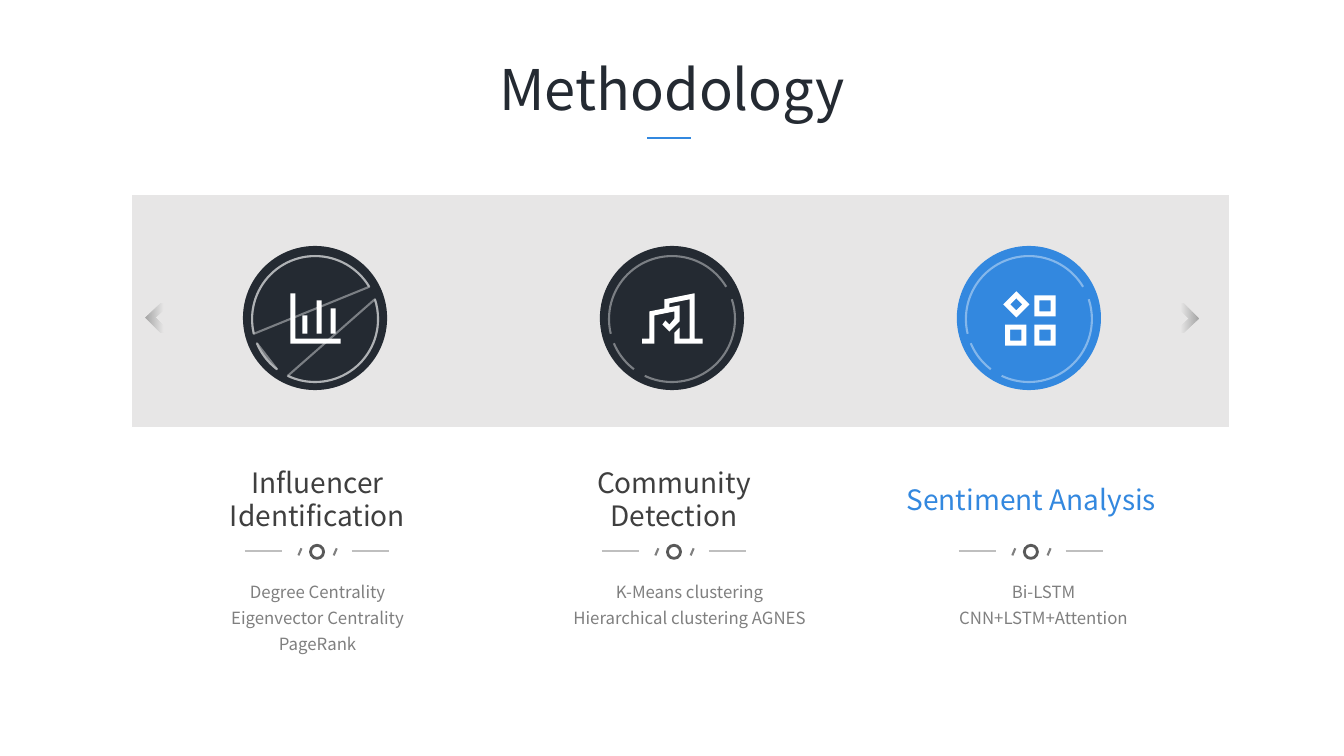
from lxml import etree
from pptx import Presentation
from pptx.dml.color import RGBColor
from pptx.enum.shapes import MSO_CONNECTOR, MSO_SHAPE
from pptx.enum.text import MSO_ANCHOR, MSO_AUTO_SIZE, PP_ALIGN
from pptx.oxml.ns import qn
from pptx.util import Inches, Pt

RECT, ROUND = MSO_SHAPE.RECTANGLE, MSO_SHAPE.ROUNDED_RECTANGLE
OVAL, ARC, CHORD = MSO_SHAPE.OVAL, MSO_SHAPE.ARC, MSO_SHAPE.CHORD
STRAIGHT = MSO_CONNECTOR.STRAIGHT
TOP, MIDDLE = MSO_ANCHOR.TOP, MSO_ANCHOR.MIDDLE
CENTER = PP_ALIGN.CENTER
FIXED = MSO_AUTO_SIZE.NONE

FONT = "Noto Sans CJK SC"
COLORS = {
    "white": "FFFFFF", "band": "E7E6E6", "dark": "242A32", "blue": "3388DF",
    "head": "3F3F3F", "body": "7F7F7F", "ring": "595959", "tick": "7F7F7F",
    "rule": "BFBFBF", "arrow": "A5A5A5",
}
STEP = 3.54
ARCS = [(99.874, 197.548), (76.307, 94.446), (205.015, 69.383)]
TOPICS = [
    ("Influencer Identification", "head", 1.76, 2.78, 1.59, 0.95,
     ["Degree Centrality", "Eigenvector Centrality", "PageRank"]),
    ("Community Detection", "head", 5.41, 2.55, 5.28, 0.63,
     ["K-Means clustering", "Hierarchical clustering AGNES"]),
    ("Sentiment Analysis", "blue", 8.84, 2.78, 8.79, 0.63,
     ["Bi-LSTM", "CNN+LSTM+Attention"]),
]
TOWER = [
    (6.69, 3.16), (6.69, 3.09), (6.49, 3.13), (6.49, 3.41), (6.37, 3.41),
    (6.37, 3.36), (6.44, 3.36), (6.44, 3.09), (6.59, 3.06), (6.59, 2.97),
    (6.89, 2.91), (6.89, 3.36), (6.97, 3.36), (6.97, 3.41), (6.69, 3.41),
    (6.69, 3.3), (6.74, 3.25), (6.74, 3.36), (6.84, 3.36), (6.84, 2.97),
    (6.64, 3.01), (6.64, 3.05), (6.74, 3.03), (6.74, 3.19), (6.64, 3.29),
    (6.57, 3.22), (6.6, 3.18), (6.64, 3.22),
]


def rgb(name):
    return RGBColor.from_string(COLORS[name])


def fade(color, share):
    etree.SubElement(color, qn("a:alpha")).set("val", str(share * 1000))


def paint(shape, fill=None, line=None, width=1):
    shape.shadow.inherit = False
    if fill:
        shape.fill.solid()
        shape.fill.fore_color.rgb = rgb(fill)
    else:
        shape.fill.background()
    if line:
        shape.line.color.rgb = rgb(line)
        shape.line.width = Pt(width)
    else:
        shape.line.fill.background()


def add_form(shapes, kind, box, **style):
    shape = shapes.add_shape(kind, *map(Inches, box))
    paint(shape, **style)
    return shape


def add_line(shapes, start, end, color, width):
    line = shapes.add_connector(STRAIGHT, *map(Inches, start + end))
    line.line.color.rgb = rgb(color)
    line.line.width = Pt(width)
    etree.SubElement(line._element.spPr, qn("a:effectLst"))


def write(shape, lines, size, color, anchor=TOP, space=None):
    frame = shape.text_frame
    frame.word_wrap = True
    frame.auto_size = FIXED
    frame.vertical_anchor = anchor
    frame.text = "\n".join(lines)
    for para in frame.paragraphs:
        para.alignment = CENTER
        para.line_spacing = space
        for run in para.runs:
            run.font.size = Pt(size)
            run.font.name = FONT
            run.font.color.rgb = rgb(color)


def trace(shapes, loops):
    pen = None
    for loop in loops:
        first, *rest = [(Inches(x), Inches(y)) for x, y in loop]
        if pen:
            pen.move_to(*first)
        else:
            pen = shapes.build_freeform(*first)
        pen.add_line_segments(rest, close=True)
    shape = pen.convert_to_shape()
    paint(shape, fill="white")
    return shape


def block(left, top, right, low):
    return [(left, top), (right, top), (right, low), (left, low)]


def diamond(x, y, reach):
    return [(x + reach, y), (x, y + reach), (x - reach, y), (x, y - reach)]


def add_badge(slide, left, fill, closed):
    shapes = slide.shapes.add_group_shape().shapes
    add_form(shapes, OVAL, (left, 2.44, 1.43, 1.43), fill=fill)
    for kind in [CHORD, ARC] if closed else [ARC]:
        for start, end in ARCS:
            arc = add_form(shapes, kind, (left + 0.09, 2.54, 1.25, 1.25),
                           line="white", width=1.5)
            arc.adjustments[0] = start
            arc.adjustments[1] = end
            fade(arc._element.xpath("./p:spPr/a:ln//a:srgbClr")[0], 40)


def add_bars(shapes):
    frame = [(2.88, 2.91), (2.93, 2.91), (2.93, 3.36), (3.38, 3.36),
             (3.38, 3.41), (2.88, 3.41)]
    tops = [3.13, 2.98, 3.06]
    bars = [block(3 + 0.14 * i, top, 3.05 + 0.14 * i, 3.31)
            for i, top in enumerate(tops)]
    trace(shapes, [frame] + bars)


def add_tiles(shapes):
    loops = [diamond(10.08, 3.02, 0.13), diamond(10.08, 3.02, 0.06)]
    for x, y in [(10.26, 2.93), (9.97, 3.22), (10.26, 3.22)]:
        loops.append(block(x, y, x + 0.21, y + 0.21))
        loops.append(block(x + 0.05, y + 0.05, x + 0.16, y + 0.16))
    trace(shapes, loops)


def add_arrow(shapes, mid, angle):
    left, top = mid - 0.15, 3.03
    spots = [(0.15, 0), (0.29, 0.15), (0.29, 0.25), (0.15, 0.1),
             (0, 0.25), (0, 0.15)]
    arrow = trace(shapes, [[(left + x, top + y) for x, y in spots]])
    arrow.rotation = angle
    arrow.fill.gradient()
    arrow.fill.gradient_angle = 270
    for stop, place in zip(arrow.fill.gradient_stops, (0, 0.71)):
        stop.position = place
        stop.color.rgb = rgb("arrow")
    fade(arrow._element.xpath(".//a:gs/a:srgbClr")[1], 0)


def add_rule(slide, mid):
    shapes = slide.shapes.add_group_shape().shapes
    add_form(shapes, OVAL, (mid - 0.07, 5.41, 0.13, 0.13),
             line="ring", width=2)
    for x in (mid - 0.16, mid + 0.19):
        add_line(shapes, (x, 5.44), (x - 0.03, 5.51), "tick", 1.5)
    for x in (mid - 0.72, mid + 0.34):
        add_line(shapes, (x, 5.47), (x + 0.37, 5.47), "rule", 1.5)


def add_topic(slide, name, color, left, width, edge, height, lines):
    head = add_form(slide.shapes, ROUND, (left, 4.69, width, 0.52))
    write(head, [name], 20, color, MIDDLE)
    body = slide.shapes.add_textbox(
        *map(Inches, (edge, 5.66, 3.12, height)))
    write(body, lines, 12, "body", space=1.3)


def add_title(slide, text):
    title = slide.shapes.title
    title.left, title.top = Inches(4.7), Inches(0.49)
    title.width, title.height = Inches(3.93), Inches(0.77)
    write(title, [text], 40, "dark")
    add_line(slide.shapes, (6.42, 1.37), (6.85, 1.37), "blue", 2)


def main():
    deck = Presentation()
    deck.slide_width, deck.slide_height = Inches(13.33), Inches(7.5)
    slide = deck.slides.add_slide(deck.slide_layouts[5])
    shapes = slide.shapes
    add_title(slide, "Methodology")
    add_form(shapes, RECT, (1.3, 1.93, 10.9, 2.31), fill="band",
             line="white", width=0.75)
    for i, fill in enumerate(["dark", "dark", "blue"]):
        add_badge(slide, 2.41 + STEP * i, fill, closed=i == 0)
        add_rule(slide, 3.15 + STEP * i)
    add_bars(shapes)
    trace(shapes, [TOWER])
    add_tiles(shapes)
    add_arrow(shapes, 1.57, 270)
    add_arrow(shapes, 11.77, 90)
    for topic in TOPICS:
        add_topic(slide, *topic)
    deck.save("out.pptx")


if __name__ == "__main__":
    main()
